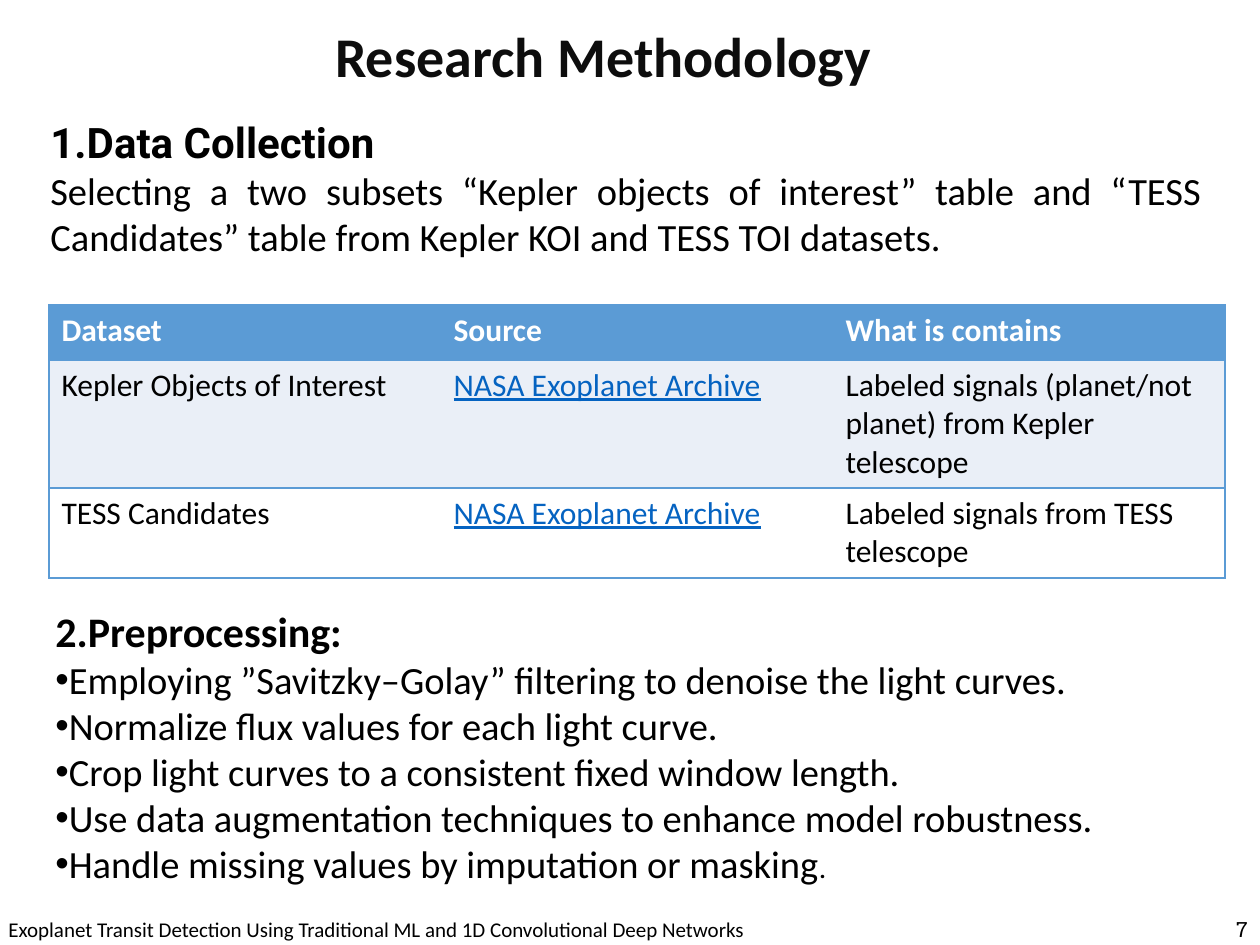
import pptx
import pptx.dml.color
import pptx.enum.text
import pptx.oxml.ns
import pptx.util
from lxml import etree

EMU_PER_PX = 914400 / 126
ALIGN = pptx.enum.text.PP_ALIGN
ANCHOR = pptx.enum.text.MSO_ANCHOR
BLACK, BLUE, LINK = "000000", "5B9BD5", "0563C1"

TABLE_ROWS = [
    ["Dataset", "Source", "What is contains"],
    ["Kepler Objects of Interest", "NASA Exoplanet Archive",
     "Labeled signals (planet/not planet) from Kepler telescope"],
    ["TESS Candidates", "NASA Exoplanet Archive", "Labeled signals from TESS telescope"],
]
ROW_FILLS = [BLUE, "EAEFF7", "FFFFFF"]
ROW_HEIGHTS = [55, 128, 90]
PREPROCESSING_STEPS = [
    "Employing\u00a0”Savitzky–Golay” filtering\u00a0to denoise the light curves.",
    "Normalize flux values for each light curve.",
    "Crop light curves to a consistent\u00a0fixed window length.\u00a0",
    "Use\u00a0data augmentation techniques to enhance model robustness.",
    "Handle missing values by imputation or masking",
]


def px(length):
    return pptx.util.Emu(round(length * EMU_PER_PX))


def color(hex_string):
    return pptx.dml.color.RGBColor.from_string(hex_string)


def style(font, size, name="Calibri", hex_string=BLACK, bold=False):
    font.size = pptx.util.Pt(size)
    font.name = name
    font.color.rgb = color(hex_string)
    font.bold = bold


def add_text_frame(slide, box, anchor=ANCHOR.TOP):
    text_frame = slide.shapes.add_textbox(*map(px, box)).text_frame
    text_frame.word_wrap = True
    text_frame.vertical_anchor = anchor
    return text_frame


def add_line(slide, box, text, align, *font_style):
    """One vertically centred line: title, footer or page number."""
    paragraph = add_text_frame(slide, box, ANCHOR.MIDDLE).paragraphs[0]
    paragraph.text = text
    paragraph.alignment = align
    style(paragraph.runs[0].font, *font_style)


def add_data_collection(slide, box):
    text_frame = add_text_frame(slide, box)
    text_frame.text = (
        "1.Data Collection\n"
        "Selecting a two subsets “Kepler objects of interest” table and "
        "“TESS Candidates” table from Kepler KOI and TESS TOI datasets."
    )
    heading, body = text_frame.paragraphs
    heading.alignment = body.alignment = ALIGN.JUSTIFY
    style(heading.runs[0].font, 24, "Roboto", BLACK, True)
    style(body.runs[0].font, 22)


def set_borders(cell, visible_sides):
    properties = cell._tc.get_or_add_tcPr()
    for side in "LRTB":
        line = etree.SubElement(properties, pptx.oxml.ns.qn(f"a:ln{side}"), w="12700")
        if side in visible_sides:
            fill = etree.SubElement(line, pptx.oxml.ns.qn("a:solidFill"))
            etree.SubElement(fill, pptx.oxml.ns.qn("a:srgbClr"), val=BLUE)
        else:
            etree.SubElement(line, pptx.oxml.ns.qn("a:noFill"))


def add_dataset_table(slide, left, top, width):
    column_count = len(TABLE_ROWS[0])
    table = slide.shapes.add_table(
        len(TABLE_ROWS), column_count, px(left), px(top), px(width), px(sum(ROW_HEIGHTS))
    ).table
    for row_index, texts in enumerate(TABLE_ROWS):
        table.rows[row_index].height = px(ROW_HEIGHTS[row_index])
        is_header = row_index == 0
        for column_index, text in enumerate(texts):
            cell = table.cell(row_index, column_index)
            # Outer frame and row rules only
            left_side = "L" if column_index == 0 else ""
            right_side = "R" if column_index == column_count - 1 else ""
            set_borders(cell, "TB" + left_side + right_side)
            cell.fill.solid()
            cell.fill.fore_color.rgb = color(ROW_FILLS[row_index])
            cell.text_frame.text = text
            font = cell.text_frame.paragraphs[0].runs[0].font
            is_link = column_index == 1 and not is_header
            text_color = "FFFFFF" if is_header else LINK if is_link else BLACK
            style(font, 18, "Calibri", text_color, is_header)
            font.underline = is_link


def add_bullet(paragraph):
    properties = paragraph._p.get_or_add_pPr()
    properties.set("marL", "0")
    properties.set("indent", "0")
    etree.SubElement(properties, pptx.oxml.ns.qn("a:buFont"), typeface="Arial")
    etree.SubElement(properties, pptx.oxml.ns.qn("a:buChar"), char="•")


def add_preprocessing(slide, box):
    text_frame = add_text_frame(slide, box)
    text_frame.text = "\n".join(["2.Preprocessing:"] + PREPROCESSING_STEPS)
    heading, *steps = text_frame.paragraphs
    style(heading.runs[0].font, 24, "Calibri", BLACK, True)
    for step in steps:
        add_bullet(step)
        style(step.runs[0].font, 22)
    full_stop = steps[-1].add_run()
    full_stop.text = "."
    style(full_stop.font, 18, "Roboto")


def main():
    presentation = pptx.Presentation()
    presentation.slide_width, presentation.slide_height = px(1260), px(945)
    slide = presentation.slides.add_slide(presentation.slide_layouts[6])

    # Title
    add_line(slide, (49, 24, 1109, 63), "Research Methodology", ALIGN.CENTER,
             32, "Calibri", "0D0D0D", True)

    # Content
    add_data_collection(slide, (38, 110, 1176, 777))
    add_dataset_table(slide, 49, 305, 1176)
    add_preprocessing(slide, (43, 599, 1176, 373))

    # Footer
    add_line(slide, (-4, 914, 1061, 31),
             "Exoplanet Transit Detection Using Traditional ML and 1D Convolutional Deep Networks",
             ALIGN.LEFT, 12)
    add_line(slide, (966, 914, 294, 31), "7", ALIGN.RIGHT, 12, "Roboto Slab")

    presentation.save("out.pptx")


if __name__ == "__main__":
    main()
